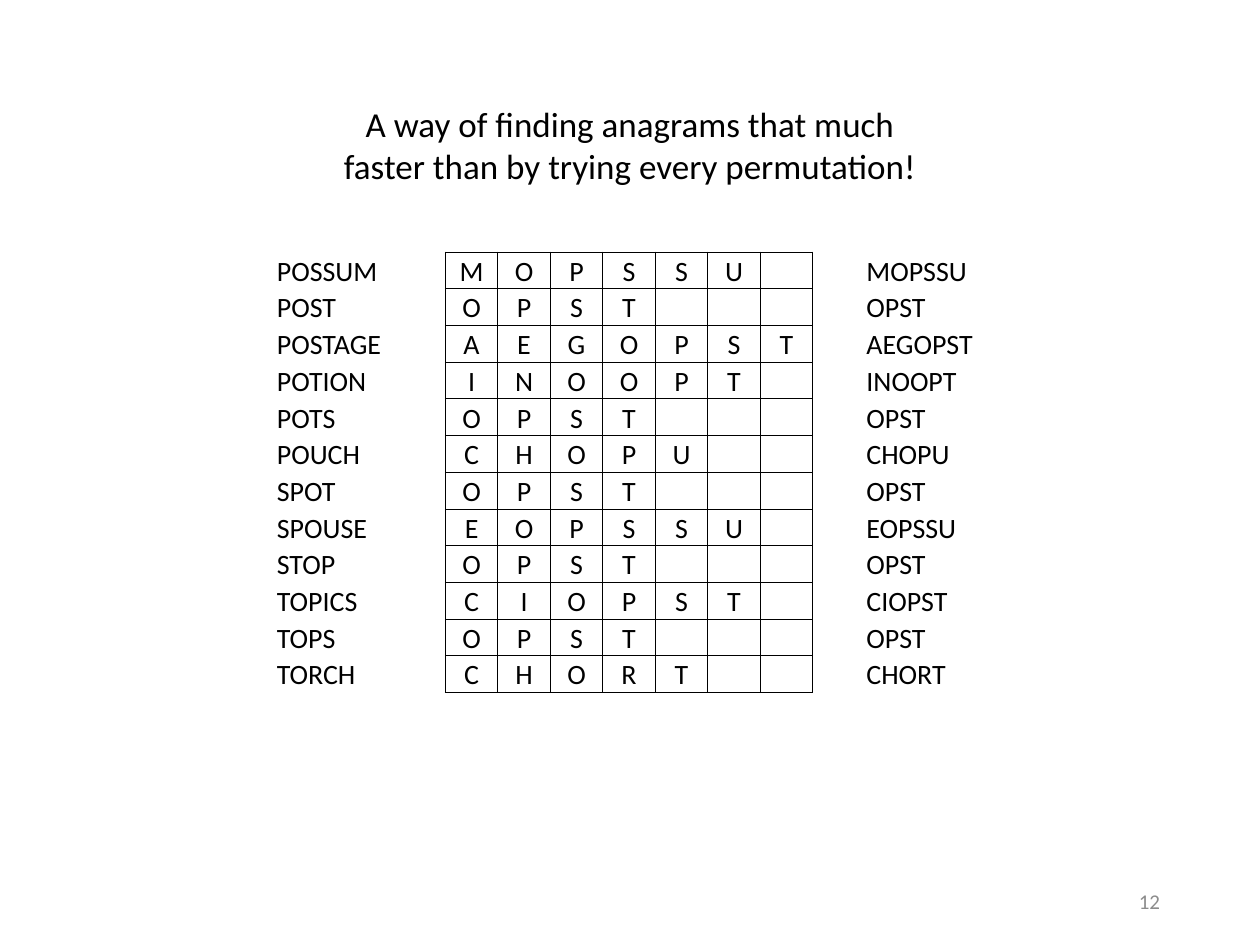
from lxml.etree import SubElement
from pptx import Presentation
from pptx.dml.color import RGBColor
from pptx.enum.text import MSO_ANCHOR, PP_ALIGN
from pptx.oxml.ns import qn
from pptx.util import Pt

COLORS = {"ink": "000000", "page_number": "8C8C8C"}
WORDS = ["POSSUM", "POST", "POSTAGE", "POTION", "POTS", "POUCH",
         "SPOT", "SPOUSE", "STOP", "TOPICS", "TOPS", "TORCH"]


class AnagramSlide:
    """Hold the style and the current slide, and add each kind of element."""

    font = "Calibri"
    word_size = 16
    word_width, letter_width, row_height = 67, 30, 21
    border_width = 0.5

    def __init__(self, slide):
        self.slide = slide

    def format_paragraph(self, paragraph, size, color, align):
        paragraph.alignment = align
        for run in paragraph.runs:
            run.font.name = self.font
            run.font.size = Pt(size)
            run.font.color.rgb = RGBColor.from_string(COLORS[color])

    def add_text(self, text, box, size, color, align, anchor=MSO_ANCHOR.TOP):
        frame = self.slide.shapes.add_textbox(*map(Pt, box)).text_frame
        frame.word_wrap = True
        frame.vertical_anchor = anchor
        frame.text = text
        for paragraph in frame.paragraphs:
            self.format_paragraph(paragraph, size, color, align)

    def set_borders(self, cell, visible):
        properties = cell._tc.get_or_add_tcPr()
        for side in "LRTB":
            line = SubElement(properties, qn(f"a:ln{side}"), w=str(Pt(self.border_width)))
            if side in visible:
                fill = SubElement(line, qn("a:solidFill"))
                SubElement(fill, qn("a:srgbClr"), val=COLORS["ink"])
            else:
                SubElement(line, qn("a:noFill"))

    def fill_cell(self, cell, text, align, borders):
        self.set_borders(cell, borders)
        cell.fill.background()
        cell.vertical_anchor = MSO_ANCHOR.BOTTOM
        cell.margin_left = cell.margin_right = cell.margin_top = Pt(0.75)
        cell.margin_bottom = Pt(0)
        paragraph = cell.text_frame.paragraphs[0]
        if text:
            paragraph.text = text
            self.format_paragraph(paragraph, self.word_size, "ink", align)
        else:
            SubElement(paragraph._p, qn("a:endParaRPr"), sz=str(self.word_size * 100))

    def add_letter_table(self, words, left, top):
        letter_count = max(map(len, words))
        widths = [self.word_width, *[self.letter_width] * (letter_count + 2), self.word_width]
        table = self.slide.shapes.add_table(
            len(words), len(widths), Pt(left), Pt(top),
            Pt(sum(widths)), Pt(self.row_height * len(words))).table
        table.first_row = table.horz_banding = False
        for column, width in zip(table.columns, widths):
            column.width = Pt(width)
        gap_borders = {1: "R", letter_count + 2: "L"}
        for row, word in enumerate(words):
            table.rows[row].height = Pt(self.row_height)
            key = "".join(sorted(word))
            texts = [word, "", *key.ljust(letter_count), "", key]
            for column, text in enumerate(texts):
                is_letter = 2 <= column < letter_count + 2
                self.fill_cell(table.cell(row, column), text.strip(),
                               PP_ALIGN.CENTER if is_letter else PP_ALIGN.LEFT,
                               "LRTB" if is_letter else gap_borders.get(column, ""))


def main():
    presentation = Presentation()
    presentation.slide_width, presentation.slide_height = Pt(720), Pt(540)
    anagrams = AnagramSlide(presentation.slides.add_slide(presentation.slide_layouts[6]))
    anagrams.add_letter_table(WORDS, 157.5, 144)
    anagrams.add_text("A way of finding anagrams that much\n"
                      "faster than by trying every permutation!",
                      (109, 55, 502, 55.5), 20, "ink", PP_ALIGN.CENTER)
    anagrams.add_text("12", (508, 500.5, 162, 28.75), 12, "page_number",
                      PP_ALIGN.RIGHT, MSO_ANCHOR.MIDDLE)
    presentation.save("out.pptx")


if __name__ == "__main__":
    main()
